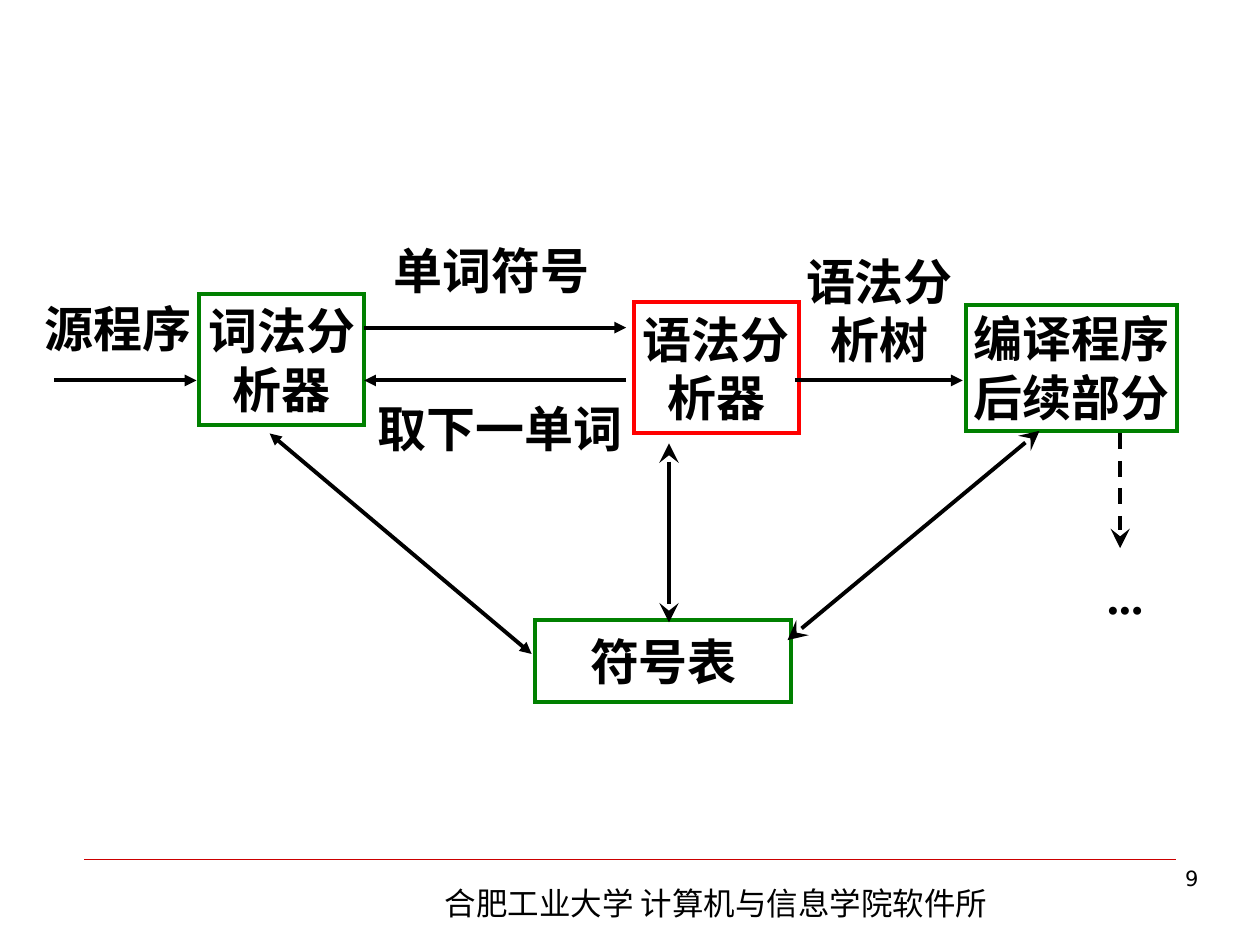
from lxml import etree
from pptx import Presentation
from pptx.dml.color import RGBColor
from pptx.enum.dml import MSO_LINE
from pptx.enum.shapes import MSO_CONNECTOR, MSO_SHAPE
from pptx.enum.text import MSO_ANCHOR, PP_ALIGN
from pptx.oxml.ns import qn
from pptx.util import Pt

BLACK = RGBColor(0x00, 0x00, 0x00)
GREEN = RGBColor(0x00, 0x80, 0x00)
RED = RGBColor(0xFF, 0x00, 0x00)
DARK_RED = RGBColor(0xCC, 0x00, 0x00)
LATIN, CJK, SANS = "Times New Roman", "Noto Sans CJK SC", "DejaVu Sans"
SIZE = 28

# Content: text, (left, top, width, height), ...
STAGES = [
    (["词法分", "析器"], (113.8, 167.8, 94.3, 74.9), GREEN),
    (["语法分", "析器"], (362.2, 172.8, 94.3, 74.9), RED),
    (["符号表"], (306, 354.2, 146.2, 46.8), GREEN),
    (["编译程序", "后续部分"], (552.2, 174.2, 120.2, 72), GREEN),
]
LABELS = [
    (["源程序"], (22.3, 163.4, 90, 48.2)),
    (["单词符号"], (232.6, 127.4, 96.5, 54)),
    (["取下一单词"], (213.1, 217.4, 145.4, 54)),
    (["语法分", "析树"], (453.6, 139.7, 97.9, 74.9)),
    (["..."], (609.8, 313.2, 66.2, 54)),
]
ROW_1, ROW_2 = 187.2, 217.4
# Start, end, arrowhead at start, arrowhead at end, dashed
ARROWS = [
    ((31, ROW_2), (112.3, ROW_2), None, "triangle", False),
    ((208.1, ROW_1), (357.8, ROW_1), None, "triangle", False),
    ((357.8, ROW_2), (208.1, ROW_2), None, "triangle", False),
    ((454.3, ROW_2), (550.1, ROW_2), None, "triangle", False),
    ((154.1, 247.7), (303.8, 373.7), "triangle", "triangle", False),
    ((382.3, 253.4), (382.3, 355.7), "stealth", "stealth", False),
    ((594, 246.2), (450, 365.8), "stealth", "stealth", False),
    ((640.1, 247.7), (640.1, 313.2), None, "stealth", True),
]
FOOTER = "合肥工业大学 计算机与信息学院软件所"
PAGE = "9"


def write(sp, lines, size=SIZE, font=LATIN, bold=True, align=PP_ALIGN.CENTER,
          anchor=MSO_ANCHOR.MIDDLE, wrap=False):
    tf = sp.text_frame
    tf.text = "\n".join(lines)
    tf.word_wrap = wrap
    tf.vertical_anchor = anchor
    for p in tf.paragraphs:
        p.alignment = align
        for r in p.runs:
            r.font.size, r.font.bold, r.font.name = Pt(size), bold, font
            r.font.color.rgb = BLACK
            ea = etree.SubElement(r.font._element, qn("a:ea"))
            ea.set("typeface", CJK)


def add_line(s, start, end, color=BLACK, width=2.25, head=None, tail=None,
             dashed=False):
    c = s.shapes.add_connector(MSO_CONNECTOR.STRAIGHT,
                               *(Pt(v) for v in (*start, *end)))
    c.line.color.rgb = color
    c.line.width = Pt(width)
    if dashed:
        c.line.dash_style = MSO_LINE.DASH
    ln = c.line._get_or_add_ln()
    for tag, kind in (("a:headEnd", head), ("a:tailEnd", tail)):
        if kind:
            size = "lg" if kind == "stealth" else "med"
            arrow = etree.SubElement(ln, qn(tag))
            for name, value in (("type", kind), ("w", size), ("len", size)):
                arrow.set(name, value)
    etree.SubElement(c._element.spPr, qn("a:effectLst"))


def add_text(s, box, lines, **style):
    write(s.shapes.add_textbox(*(Pt(v) for v in box)), lines, **style)


def widen(box, lines):
    """Keep the centre, but make room for the longest line and the insets."""
    left, top, width, height = box
    room = max(width, max(map(len, lines)) * SIZE + 20)
    return left - (room - width) / 2, top, room, height


prs = Presentation()
prs.slide_width, prs.slide_height = Pt(720), Pt(540)
s = prs.slides.add_slide(prs.slide_layouts[6])

# Footer
add_line(s, (48.2, 491), (671.8, 491), DARK_RED, 0.25)
add_text(s, (247, 501.8, 345.6, 28.8), [FOOTER], size=18, font=CJK,
         bold=False, align=PP_ALIGN.LEFT, anchor=MSO_ANCHOR.TOP, wrap=True)
add_text(s, (535.7, 491, 156.2, 37.4), [PAGE], size=12, font=SANS,
         bold=False, align=PP_ALIGN.RIGHT, anchor=MSO_ANCHOR.TOP, wrap=True)

# Labels beside the arrows
for lines, box in LABELS:
    add_text(s, widen(box, lines), lines)

# Compiler stages
for lines, box, color in STAGES:
    sp = s.shapes.add_shape(MSO_SHAPE.RECTANGLE, *(Pt(v) for v in box))
    sp.shadow.inherit = False
    sp.fill.background()
    sp.line.color.rgb = color
    sp.line.width = Pt(2.25)
    miter = etree.SubElement(sp.line._get_or_add_ln(), qn("a:miter"))
    miter.set("lim", "800000")
    write(sp, lines)

# Data flow
for start, end, head, tail, dashed in ARROWS:
    add_line(s, start, end, head=head, tail=tail, dashed=dashed)

prs.save("out.pptx")
